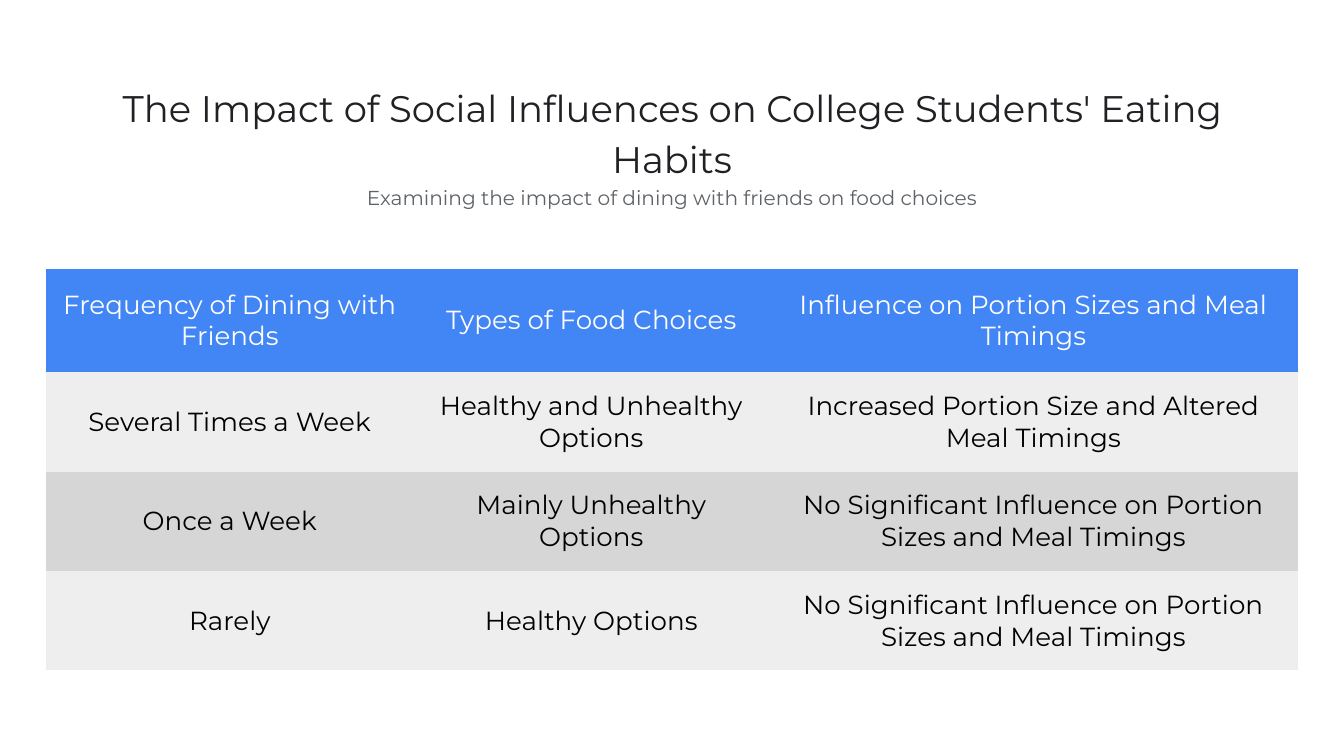
from pptx import Presentation
from pptx.dml.color import RGBColor
from pptx.enum.text import MSO_ANCHOR, PP_ALIGN
from pptx.util import Inches, Pt

FONT = "Montserrat"
NO_GRID_STYLE = "{2D5ABB26-0587-4C30-8999-92F81FD0307C}"
INK = RGBColor(0x20, 0x21, 0x24)
GREY = RGBColor(0x5F, 0x63, 0x68)
BLUE = RGBColor(0x42, 0x85, 0xF4)
WHITE = RGBColor(0xFF, 0xFF, 0xFF)
BLACK = RGBColor(0x00, 0x00, 0x00)
LIGHT_BAND = RGBColor(0xEE, 0xEE, 0xEE)
DARK_BAND = RGBColor(0xD6, 0xD6, 0xD6)

LEFT, WIDTH = Inches(0.34), Inches(9.32)
MARGIN = Inches(0.1)


def format_paragraph(paragraph, size, color):
    paragraph.alignment = PP_ALIGN.CENTER
    for run in paragraph.runs:
        run.font.name = FONT
        run.font.size = Pt(size)
        run.font.bold = False
        run.font.color.rgb = color


# Widescreen 16:9 slide
prs = Presentation()
prs.slide_width = Inches(10)
prs.slide_height = Inches(10) * 9 // 16
slide = prs.slides.add_slide(prs.slide_layouts[6])

# Title and subtitle
heading = slide.shapes.add_textbox(LEFT, Inches(0.49), WIDTH, Inches(1.17)).text_frame
heading.word_wrap = True
heading.margin_left = heading.margin_right = MARGIN
heading.margin_top = heading.margin_bottom = MARGIN
heading.text = (
    "The Impact of Social Influences on College Students' Eating Habits\n"
    "Examining the impact of dining with friends on food choices"
)
for paragraph, (size, color) in zip(heading.paragraphs, [(19.8, INK), (10.8, GREY)]):
    paragraph.line_spacing = 1.15
    format_paragraph(paragraph, size, color)

# Dining habits table
habits = [
    ["Frequency of Dining with Friends", "Types of Food Choices",
     "Influence on Portion Sizes and Meal Timings"],
    ["Several Times a Week", "Healthy and Unhealthy Options",
     "Increased Portion Size and Altered Meal Timings"],
    ["Once a Week", "Mainly Unhealthy Options",
     "No Significant Influence on Portion Sizes and Meal Timings"],
    ["Rarely", "Healthy Options",
     "No Significant Influence on Portion Sizes and Meal Timings"],
]
row_fills = [BLUE, LIGHT_BAND, DARK_BAND, LIGHT_BAND]

table_frame = slide.shapes.add_table(
    len(habits), len(habits[0]), LEFT, Inches(2), WIDTH, Inches(2.99))
table = table_frame.table
table._tbl.tblPr.find("{*}tableStyleId").text = NO_GRID_STYLE

for column, width in zip(table.columns, [2.74, 2.64, 3.94]):
    column.width = Inches(width)

for i, (row, texts, fill) in enumerate(zip(table.rows, habits, row_fills)):
    row.height = Inches(0.77 if i == 0 else 0.74)
    for cell, text in zip(row.cells, texts):
        cell.fill.solid()
        cell.fill.fore_color.rgb = fill
        cell.vertical_anchor = MSO_ANCHOR.MIDDLE
        cell.margin_left = cell.margin_right = MARGIN
        cell.margin_top = cell.margin_bottom = MARGIN
        cell.text_frame.text = text
        format_paragraph(cell.text_frame.paragraphs[0], 14, WHITE if i == 0 else BLACK)

prs.save("out.pptx")
